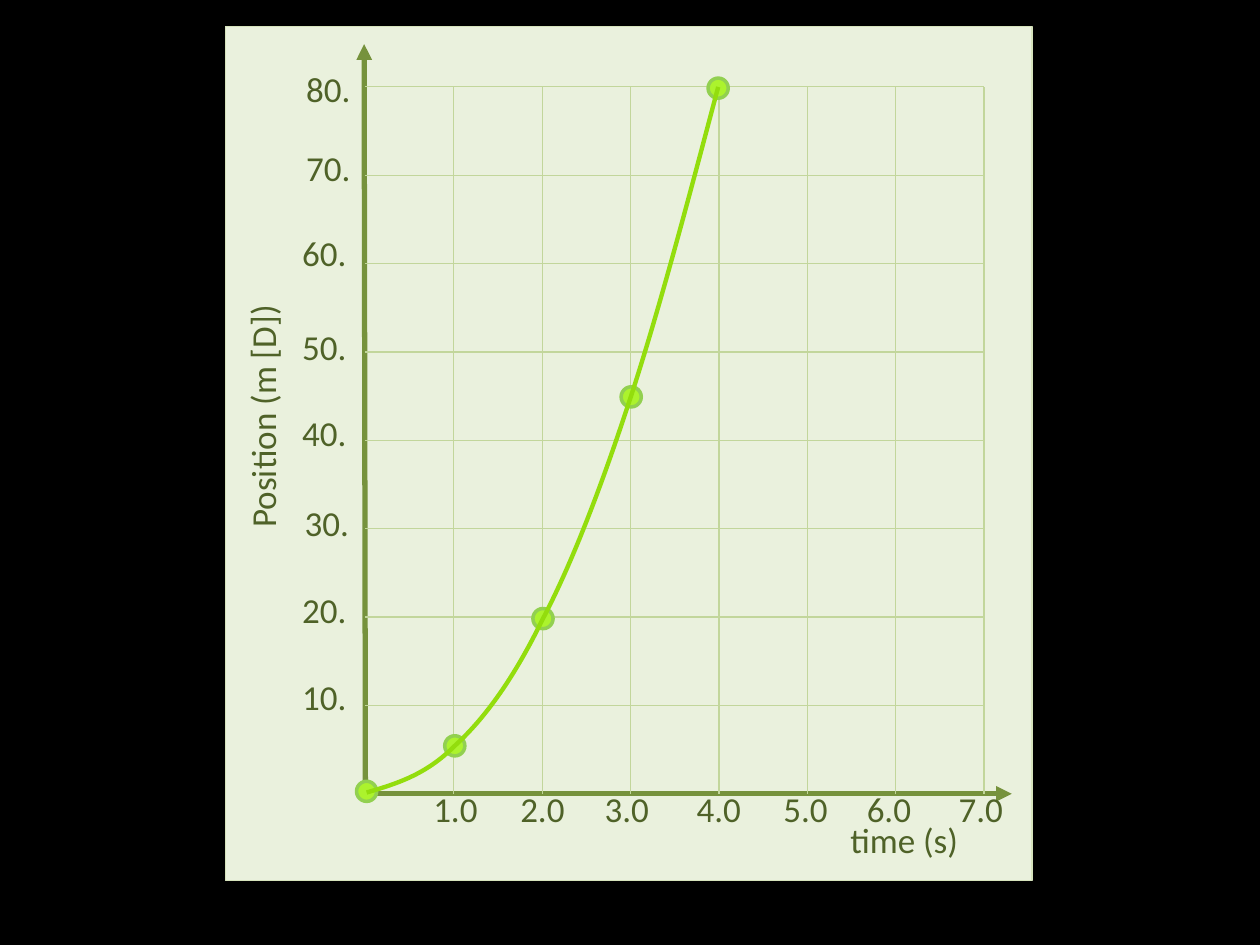
from lxml.etree import SubElement
from pptx import Presentation
from pptx.dml.color import RGBColor
from pptx.enum.shapes import MSO_CONNECTOR, MSO_SHAPE
from pptx.oxml.ns import qn
from pptx.util import Pt

THEME = {
    "font": "Calibri", "size": 20,
    "back": "000000", "panel": "EAF1DD", "edge": "D6E3BC",
    "axis": "76923C", "grid": "C2D69B", "text": "4F6228",
    "dot": "ACF32D", "ring": "92D050", "curve": "93DD0D",
}


def add_line(x1, y1, x2, y2, color, width):
    line = s.shapes.add_connector(MSO_CONNECTOR.STRAIGHT, Pt(x1), Pt(y1), Pt(x2), Pt(y2))
    line.line.color.rgb = RGBColor.from_string(THEME[color])
    line.line.width = Pt(width)
    SubElement(line._element.spPr, qn("a:effectLst"))
    return line


def add_label(text, x, y, w, h):
    box = s.shapes.add_textbox(Pt(x), Pt(y), Pt(w), Pt(h))
    tf = box.text_frame
    tf.word_wrap = True
    p = tf.paragraphs[0]
    p.space_after = Pt(10)
    r = p.add_run()
    r.text = text
    r.font.name = THEME["font"]
    r.font.size = Pt(THEME["size"])
    r.font.color.rgb = RGBColor.from_string(THEME["text"])
    return box


prs = Presentation()
prs.slide_width, prs.slide_height = Pt(720), Pt(540)
s = prs.slides.add_slide(prs.slide_layouts[6])
s.background.fill.solid()
s.background.fill.fore_color.rgb = RGBColor.from_string(THEME["back"])

x0, y0, step = 208.8, 453.6, 50.5
cols, rows = 7, 8
right, top = x0 + cols * step, y0 - rows * step

panel = s.shapes.add_shape(MSO_SHAPE.RECTANGLE, Pt(128.9), Pt(15.1), Pt(460.8), Pt(488.2))
panel.shadow.inherit = False
panel.fill.solid()
panel.fill.fore_color.rgb = RGBColor.from_string(THEME["panel"])
panel.line.color.rgb = RGBColor.from_string(THEME["edge"])
panel.line.width = Pt(0.75)

for x, y in [(208.1, 25.2), (578.2, y0)]:
    axis = add_line(x0, y0, x, y, "axis", 3)
    SubElement(axis.line._get_or_add_ln(), qn("a:tailEnd"), type="triangle")

for i in range(1, cols + 1):
    add_line(x0 + i * step, y0, x0 + i * step, top, "grid", 0.75)
for i in range(1, rows + 1):
    add_line(x0, y0 - i * step, right, y0 - i * step, "grid", 0.75)

time_lefts = [240.5, 290.2, 338.4, 391, 440.6, 488.2, 540.7]
for i, x in enumerate(time_lefts, 1):
    add_label(f"{i}.0", x, 446.4, 49.7, 32.4)
position_spots = [(165.6, 382.3), (165.6, 332.6), (167, 283), (165.6, 231.8),
                  (165.6, 182.2), (165.6, 128.9), (167.8, 79.9), (167.8, 35.3)]
for i, (x, y) in enumerate(position_spots, 1):
    add_label(f"{i * 10}.", x, y, 49.7, 32.4)
add_label("time (s)", 478.8, 464.4, 115.2, 38.9)
add_label("Position (m [D])", 51.8, 186.5, 204.5, 39.6).rotation = 270

dot_size = 11.5
for x, y in [(209.5, 452.2), (259.9, 426.2), (310.3, 353.5), (360.7, 226.8), (410.4, 50.4)]:
    dot = s.shapes.add_shape(MSO_SHAPE.OVAL, Pt(x - dot_size / 2), Pt(y - dot_size / 2),
                             Pt(dot_size), Pt(dot_size))
    dot.shadow.inherit = False
    dot.fill.solid()
    dot.fill.fore_color.rgb = RGBColor.from_string(THEME["dot"])
    dot.line.color.rgb = RGBColor.from_string(THEME["ring"])
    dot.line.width = Pt(2)

curve_points = [
    (226.8, 447.8), (243.4, 442.8), (259.9, 426.2),
    (277.2, 410.4), (293.8, 387.4), (310.3, 353.5),
    (327.6, 320.4), (344.2, 276.5), (360.7, 226.1),
    (377.3, 175), (393.8, 112.3), (410.4, 49.7),
]
builder = s.shapes.build_freeform(Pt(209.5), Pt(452.9))
builder.add_line_segments([(Pt(x), Pt(y)) for x, y in curve_points], close=False)
curve = builder.convert_to_shape()
curve.shadow.inherit = False
curve.fill.background()
curve.line.color.rgb = RGBColor.from_string(THEME["curve"])
curve.line.width = Pt(2.5)
outline = curve._element.find(".//" + qn("a:pathLst"))[0]
segments = outline.findall(qn("a:lnTo"))
for i in range(0, len(segments), 3):
    bezier = SubElement(outline, qn("a:cubicBezTo"))
    for segment in segments[i:i + 3]:
        bezier.append(segment[0])
        outline.remove(segment)

prs.save("out.pptx")
